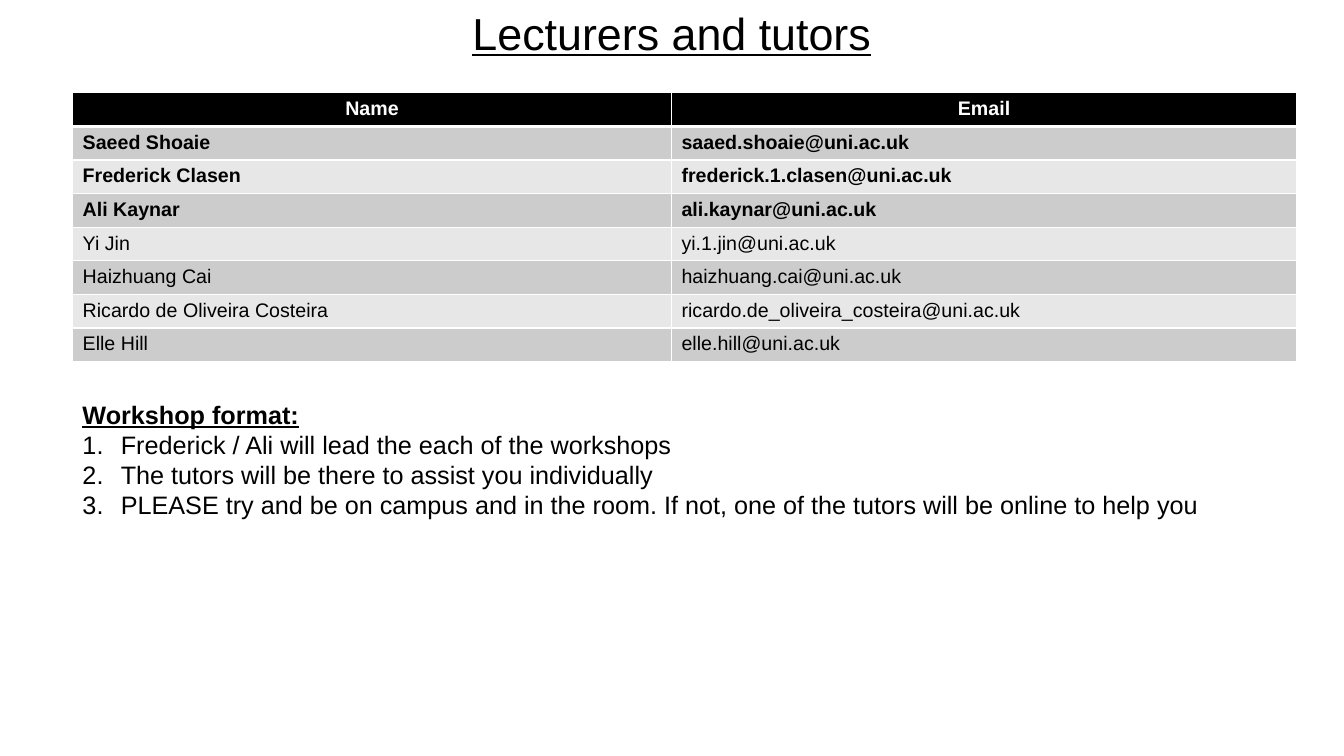
from pptx import Presentation
from pptx.dml.color import RGBColor
from pptx.enum.text import MSO_ANCHOR, PP_ALIGN
from pptx.oxml import parse_xml
from pptx.oxml.ns import nsdecls
from pptx.util import Inches, Pt

BLACK = RGBColor(0x00, 0x00, 0x00)
WHITE = RGBColor(0xFF, 0xFF, 0xFF)
DARK_BAND = RGBColor(0xCC, 0xCC, 0xCC)
LIGHT_BAND = RGBColor(0xE7, 0xE7, 0xE7)

LEFT, WIDTH = 0.72, 12.14
COL_WIDTHS = (5.94, 6.2)
TABLE_HEIGHT = 2.67
NUM_LECTURERS = 3

STAFF = [
    ("Saeed Shoaie", "saaed.shoaie@uni.ac.uk"),
    ("Frederick Clasen", "frederick.1.clasen@uni.ac.uk"),
    ("Ali Kaynar", "ali.kaynar@uni.ac.uk"),
    ("Yi Jin", "yi.1.jin@uni.ac.uk"),
    ("Haizhuang Cai", "haizhuang.cai@uni.ac.uk"),
    ("Ricardo de Oliveira Costeira", "ricardo.de_oliveira_costeira@uni.ac.uk"),
    ("Elle Hill", "elle.hill@uni.ac.uk"),
]
WORKSHOP_FORMAT = [
    "Frederick / Ali will lead the each of the workshops",
    "The tutors will be there to assist you individually",
    "PLEASE try and be on campus and in the room. "
    "If not, one of the tutors will be online to help you",
]


def write(p, text, size, color=BLACK, bold=False, underline=False,
          align=PP_ALIGN.LEFT):
    p.alignment = align
    r = p.add_run()
    r.text = text
    r.font.name = "Arial"
    r.font.size = Pt(size)
    r.font.bold = bold
    r.font.underline = underline
    r.font.color.rgb = color


def number(p, indent):
    """Give the paragraph an automatic number with a hanging indent."""
    pPr = p._p.get_or_add_pPr()
    pPr.set("marL", str(Inches(indent)))
    pPr.set("indent", str(-Inches(indent)))
    pPr.append(parse_xml(
        f'<a:buFont {nsdecls("a")} typeface="+mj-lt"/>'))
    pPr.append(parse_xml(
        f'<a:buAutoNum {nsdecls("a")} type="arabicPeriod"/>'))


def set_borders(cell, bottom=1, top=1):
    tcPr = cell._tc.get_or_add_tcPr()
    for side, width in (("L", 1), ("R", 1), ("T", top), ("B", bottom)):
        tcPr.append(parse_xml(
            f'<a:ln{side} {nsdecls("a")} w="{Pt(width)}"><a:solidFill>'
            f'<a:srgbClr val="{WHITE}"/></a:solidFill></a:ln{side}>'))


def fill_cell(cell, text, fill, bottom=1, top=1, **fmt):
    set_borders(cell, bottom, top)
    cell.fill.solid()
    cell.fill.fore_color.rgb = fill
    write(cell.text_frame.paragraphs[0], text, 14, **fmt)


def add_title(s, text):
    title = s.shapes.title
    title.left, title.top = Inches(0), Inches(0)
    title.width, title.height = Inches(13.33), Inches(0.64)
    title.text_frame.vertical_anchor = MSO_ANCHOR.MIDDLE
    write(title.text_frame.paragraphs[0], text, 32, underline=True,
          align=PP_ALIGN.CENTER)


def add_staff_table(s):
    num_rows = len(STAFF) + 1
    table = s.shapes.add_table(
        num_rows, 2, Inches(LEFT), Inches(0.92),
        Inches(WIDTH), Inches(TABLE_HEIGHT)).table
    for col, width in zip(table.columns, COL_WIDTHS):
        col.width = Inches(width)
    for row in table.rows:
        row.height = Inches(TABLE_HEIGHT / num_rows)
    for c, heading in enumerate(("Name", "Email")):
        fill_cell(table.cell(0, c), heading, BLACK, bottom=3, color=WHITE,
                  bold=True, align=PP_ALIGN.CENTER)
    for i, person in enumerate(STAFF):
        band = LIGHT_BAND if i % 2 else DARK_BAND
        for c, text in enumerate(person):
            fill_cell(table.cell(i + 1, c), text, band,
                      top=1 if i else 3, bold=i < NUM_LECTURERS)


def add_workshop_format(s):
    tf = s.shapes.add_textbox(Inches(LEFT), Inches(3.91),
                              Inches(WIDTH), Inches(1.62)).text_frame
    tf.word_wrap = True
    write(tf.paragraphs[0], "Workshop format:", 18, bold=True, underline=True)
    for item in WORKSHOP_FORMAT:
        p = tf.add_paragraph()
        write(p, item, 18)
        number(p, 0.38)


def main():
    prs = Presentation()
    prs.slide_width, prs.slide_height = Inches(13.33), Inches(7.5)
    s = prs.slides.add_slide(prs.slide_layouts[5])
    add_title(s, "Lecturers and tutors")
    add_staff_table(s)
    add_workshop_format(s)
    prs.save("out.pptx")


if __name__ == "__main__":
    main()
